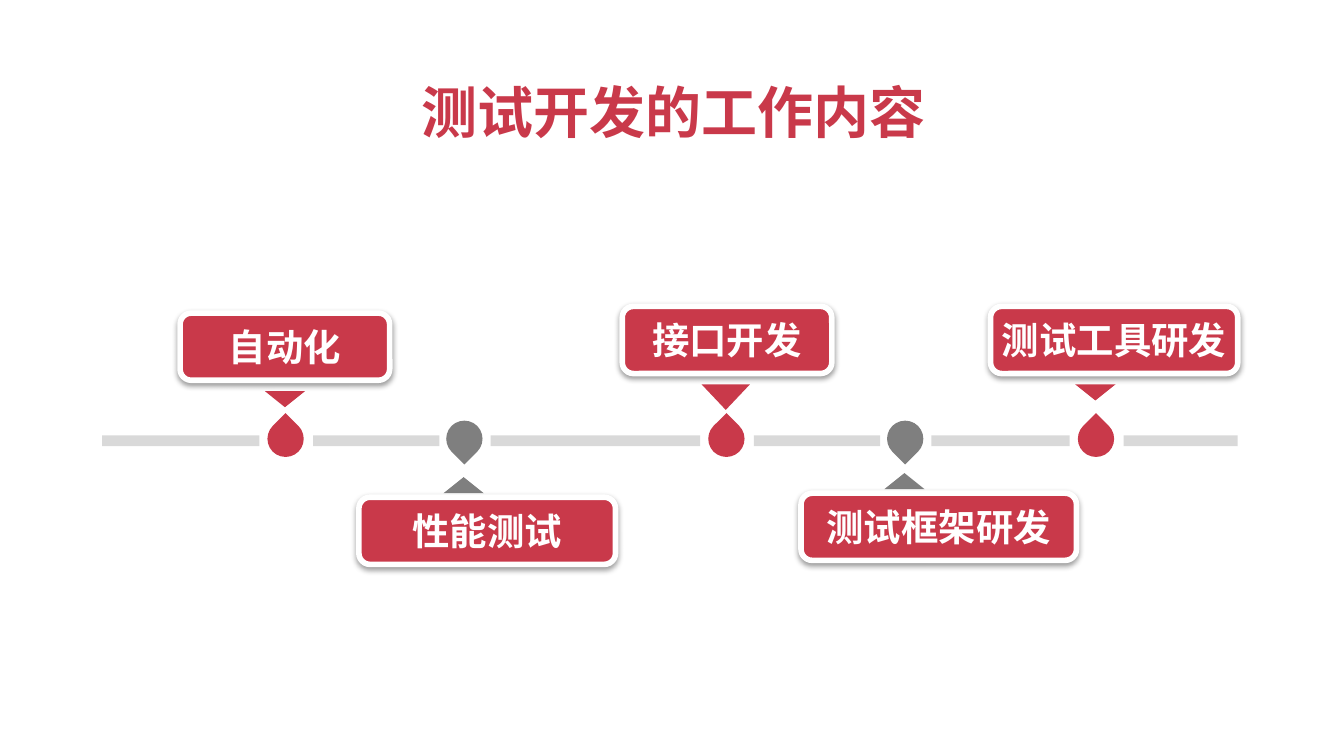
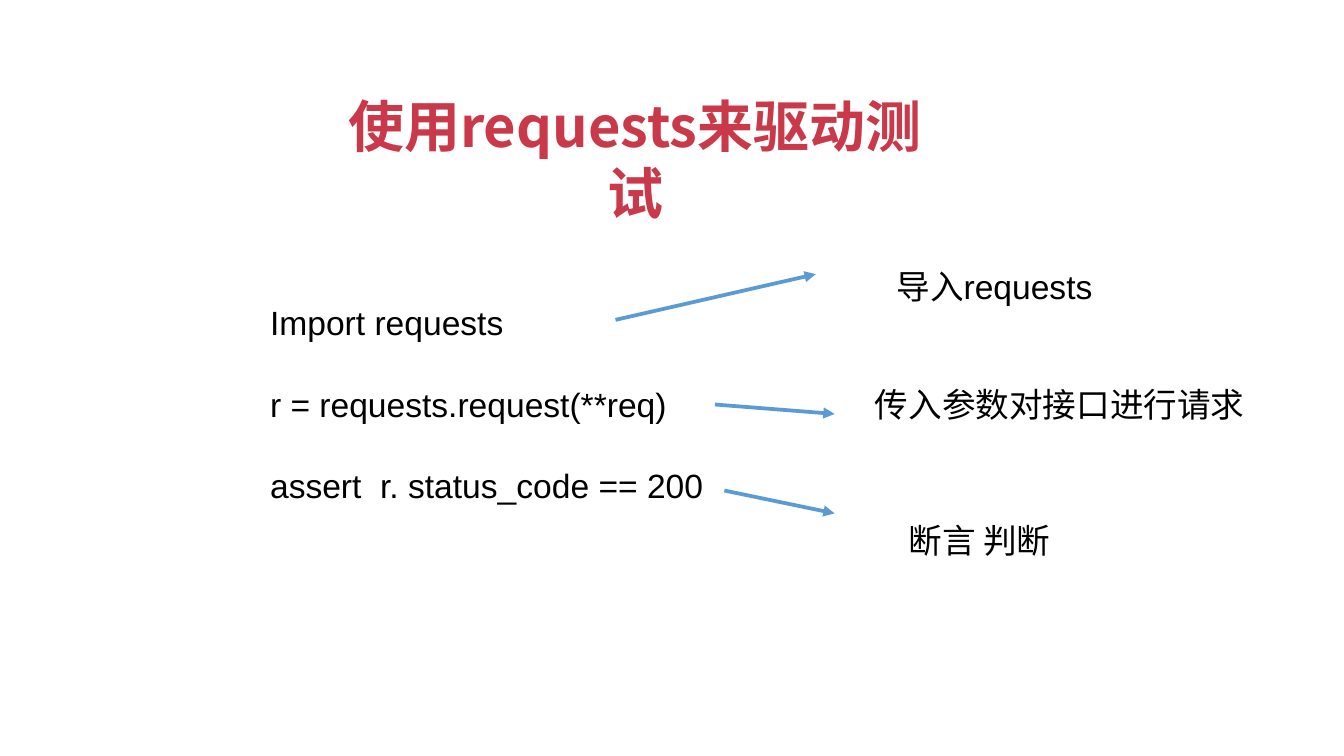
from pptx import Presentation
from pptx.dml.color import RGBColor
from pptx.enum.shapes import MSO_CONNECTOR, MSO_SHAPE
from pptx.enum.text import MSO_ANCHOR, MSO_AUTO_SIZE, PP_ALIGN
from pptx.oxml.ns import qn
from pptx.util import Pt
from lxml.etree import SubElement

PX = 9144  # 100 px to the inch
WIDTH = 1000
HUES = {"red": "C9394A", "gray": "7F7F7F", "bar": "D9D9D9",
        "white": "FFFFFF", "black": "000000", "blue": "5B9BD5"}
HAN = "Noto Sans CJK SC"

# Text styles: font values and a hue
TITLE = ({"size": Pt(30), "bold": True, "name": HAN}, "red")
LABEL = ({"size": Pt(20), "bold": True, "name": HAN}, "white")
BODY = ({"size": Pt(18), "name": "Arial"}, "black")

# Timeline steps: text, drop left, above the line, tip (w, h), card (x, y, w)
STEPS = [
    ("自动化", 123, True, (30, 12), (58, 5, 156)),
    ("性能测试", 256, False, (30, 12), (191, 142, 191)),
    ("接口开发", 451, True, (36, 19), (387, 0, 156)),
    ("测试框架研发", 584, False, (30, 12), (520, 139, 205)),
    ("测试工具研发", 726, True, (30, 12), (661, 0, 184)),
]
CODE = ["Import requests", "r = requests.request(**req)",
        "assert  r. status_code == 200"]
# Notes: text, place (x, y, w), arrow (x1, y1, x2, y2)
NOTES = [
    ("导入requests", (466, 0, 157), (262, 45, 411, 11)),
    ("传入参数对接口进行请求", (450, 88, 288), (336, 108, 425, 115)),
    ("断言 判断", (475, 189, 118), (343, 172, 425, 189)),
]


def hue(key):
    return RGBColor.from_string(HUES[key])


def emu(*lens):
    return [int(n * PX) for n in lens]


def assign(item, values):
    for key, val in values.items():
        setattr(item, key, val)


def write(frame, lines, style, align, wrap, gap=0):
    """Fill a text frame, one paragraph a line."""
    side = 5 * PX
    assign(frame, {"margin_left": side, "margin_right": side,
                   "margin_top": side, "margin_bottom": side,
                   "word_wrap": wrap})
    fonts, ink = style
    for num, line in enumerate(lines):
        para = frame.add_paragraph() if num else frame.paragraphs[0]
        assign(para, {"alignment": align,
                      "space_before": Pt(gap if num else 0)})
        run = para.add_run()
        run.text = line
        assign(run.font, fonts)
        run.font.color.rgb = hue(ink)
        SubElement(run._r.get_or_add_rPr(), qn("a:ea"), typeface=HAN)


def label(slide, box, lines, style=BODY, align=PP_ALIGN.LEFT, wrap=False,
          gap=0):
    frame = slide.shapes.add_textbox(*emu(*box)).text_frame
    write(frame, lines, style, align, wrap, gap)
    frame.auto_size = MSO_AUTO_SIZE.SHAPE_TO_FIT_TEXT


def title(slide, box, text, wrap):
    label(slide, box, [text], TITLE, PP_ALIGN.CENTER, wrap)


def solid(slide, kind, box, fill, turn=0):
    """Draw a plain shape with no line."""
    shape = slide.shapes.add_shape(kind, *emu(*box))
    shape.shadow.inherit = False
    shape.fill.solid()
    shape.fill.fore_color.rgb = hue(fill)
    shape.line.fill.background()
    shape.rotation = turn
    return shape


def shade(shape):
    """Give a shape a soft shadow below it."""
    effects = shape._element.spPr.find(qn("a:effectLst"))
    outer = SubElement(effects, qn("a:outerShdw"), blurRad=str(Pt(3)),
                       dist=str(Pt(1.6)), dir="5400000", rotWithShape="0")
    color = SubElement(outer, qn("a:srgbClr"), val=HUES["black"])
    SubElement(color, qn("a:alpha"), val="38000")


def card(slide, box, text):
    shape = solid(slide, MSO_SHAPE.ROUNDED_RECTANGLE, box, "red")
    shape.adjustments[0] = 0.167
    shape.line.color.rgb = hue("white")
    shape.line.width = Pt(3)
    shade(shape)
    write(shape.text_frame, [text], LABEL, PP_ALIGN.CENTER, False)
    shape.text_frame.vertical_anchor = MSO_ANCHOR.MIDDLE


def marker(slide, left, mid, step):
    """Draw one step: its drop, tip and card."""
    text, drop, above, (wide, high), (x, y, w) = step
    fill = "red" if above else "gray"
    solid(slide, MSO_SHAPE.TEAR, (left + drop, mid - 14, 27, 27), fill,
          315 if above else 135)
    tip = y + 58 if above else y - 15
    top = mid - 99
    solid(slide, MSO_SHAPE.ISOSCELES_TRIANGLE,
          (left + drop + 13 - wide / 2, top + tip, wide, high), fill,
          180 if above else 0)
    card(slide, (left + x, top + y, w, 50), text)


def timeline(slide, box):
    left, top, width, _ = box
    mid, start = top + 99, left
    # Bars fill the space between drops
    for _, drop, above, _, _ in STEPS:
        gap = 6 if above else 5
        end = left + drop - gap
        solid(slide, MSO_SHAPE.RECTANGLE, (start, mid - 3, end - start, 8),
              "bar")
        start = left + drop + 28 + gap
    solid(slide, MSO_SHAPE.RECTANGLE,
          (start, mid - 3, left + width - start, 8), "bar")
    for step in STEPS:
        marker(slide, left, mid, step)


def arrow(slide, ends):
    line = slide.shapes.add_connector(MSO_CONNECTOR.STRAIGHT, *emu(*ends))
    line.line.color.rgb = hue("blue")
    line.line.width = Pt(2)
    SubElement(line.line._get_or_add_ln(), qn("a:tailEnd"), type="triangle")
    SubElement(line._element.spPr, qn("a:effectLst"))


def listing(slide, box):
    """Place the code at left, with an arrow from each line to its note."""
    left, top, _, _ = box
    label(slide, (left, top + 27, 337, 162), CODE, gap=22)
    for text, (x, y, w), (x1, y1, x2, y2) in NOTES:
        arrow(slide, (left + x1, top + y1, left + x2, top + y2))
        label(slide, (left + x, top + y, w, 40), [text])


def main():
    deck = Presentation()
    deck.slide_width, deck.slide_height = emu(WIDTH, WIDTH * 9 / 16)
    blank = deck.slide_layouts[6]

    work = deck.slides.add_slide(blank)
    title(work, (51, 53, 900, 68), "测试开发的工作内容", True)
    timeline(work, (76, 228, 845, 192))

    usage = deck.slides.add_slide(blank)
    title(usage, (234, 63, 477, 68), "使用requests来驱动测试", False)
    listing(usage, (196, 193, 738, 229))

    deck.save("out.pptx")


if __name__ == "__main__":
    main()
